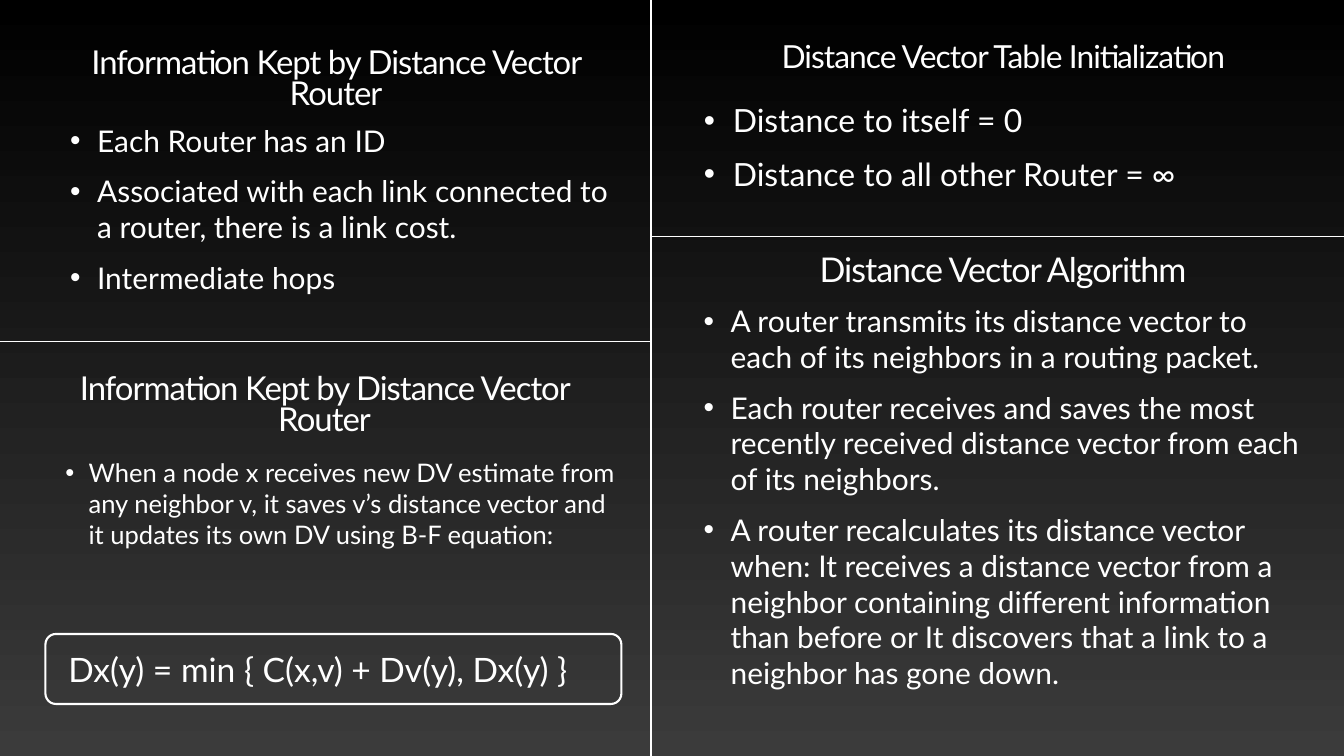
import lxml.etree
import pptx
import pptx.dml.color
import pptx.enum.shapes
import pptx.enum.text
import pptx.oxml.ns
import pptx.util

Cm, Pt = pptx.util.Cm, pptx.util.Pt
RGB = pptx.dml.color.RGBColor
PP = pptx.enum.text.PP_ALIGN
MSO = pptx.enum.text.MSO_ANCHOR
qn = pptx.oxml.ns.qn

theme = {
    "font": "Lato",
    "ink": RGB(0xFF, 0xFF, 0xFF),
    "top": RGB(0, 0, 0),
    "base": RGB(0x3B, 0x3B, 0x3B),
    "rule": Pt(2),
    "frame": Pt(3),
    "math": 48,
}

deck = pptx.Presentation()
deck.slide_width, deck.slide_height = Cm(67.74), Cm(38.1)
slide = deck.slides.add_slide(deck.slide_layouts[6])

# Background fades downwards
back = slide.background.fill
back.gradient()
back.gradient_angle = 270
for stop, tone in zip(back.gradient_stops, (theme["top"], theme["base"])):
    stop.color.rgb = tone
back.gradient_stops[0].position = 0
back.gradient_stops[1].position = 1


def add_text(area, lines, size, anchor):
    box = slide.shapes.add_textbox(*[Cm(n) for n in area])
    frame = box.text_frame
    frame.word_wrap = True
    frame.vertical_anchor = anchor
    frame.margin_left = frame.margin_right = Cm(0.15)
    frame.margin_top = frame.margin_bottom = Cm(0.15)
    frame.text = "\n".join(lines)
    for para in frame.paragraphs:
        for run in para.runs:
            run.font.name = theme["font"]
            run.font.size = Pt(size)
            run.font.color.rgb = theme["ink"]
    return frame.paragraphs


# Four panels: title, its area and size, then bullets, their area and size
panels = [
    ("Information Kept by Distance Vector Router",
     (3.53, 1.52, 26.82, 4.29), 47,
     ["Each Router has an ID",
      "Associated with each link connected to a router, there is a link cost.",
      "Intermediate hops"],
     (3.38, 6.02, 27.86, 10.34), 42.7),
    ("Distance Vector Table Initialization",
     (37.8, 0.33, 25.53, 3.56), 45.4,
     ["Distance to itself = 0",
      "Distance to all other Router = ∞"],
     (35.33, 4.93, 28.78, 5.36), 45.6),
    ("Distance Vector Algorithm",
     (38.4, 12.14, 24.31, 2.57), 48.7,
     ["A router transmits its distance vector to each of its neighbors "
      "in a routing packet.",
      "Each router receives and saves the most recently received distance "
      "vector from each of its neighbors.",
      "A router recalculates its distance vector when: It receives a distance "
      "vector from a neighbor containing different information than before "
      "or It discovers that a link to a neighbor has gone down."],
     (35.31, 15.11, 30.51, 23.5), 42.7),
    ("Information Kept by Distance Vector Router",
     (2.95, 17.93, 26.82, 4.29), 47,
     ["When a node x receives new DV estimate from any neighbor v, it saves "
      "v’s distance vector and it updates its own DV using B-F equation:"],
     (3.15, 22.89, 28.14, 7.16), 36.5),
]
for title, head, big, points, body, size in panels:
    para = add_text(head, [title], big, MSO.BOTTOM)[0]
    para.alignment = PP.CENTER
    para.line_spacing = 0.8
    para.runs[0].font._element.set("spc", str(round(big * -3)))

    for spot, para in enumerate(add_text(body, points, size, MSO.TOP)):
        if spot:
            para.space_before = Pt(size // 2)
        props = para._p.get_or_add_pPr()
        dent = Cm(size * 0.032)
        props.set("marL", str(dent))
        props.set("indent", str(-dent))
        tint = lxml.etree.SubElement(props, qn("a:buClr"))
        lxml.etree.SubElement(tint, qn("a:srgbClr"), val=str(theme["ink"]))
        lxml.etree.SubElement(props, qn("a:buFont"), typeface="Arial")
        lxml.etree.SubElement(props, qn("a:buChar"), char="•")

# Rules between the panels
mid, wide, tall = 32.82, 67.74, 38.1
for ends in [(mid, 11.91, wide, 11.91), (mid, 0, mid, tall), (0, 17.22, mid, 17.22)]:
    rule = slide.shapes.add_connector(
        pptx.enum.shapes.MSO_CONNECTOR.STRAIGHT, *[Cm(n) for n in ends])
    rule.line.color.rgb = theme["ink"]
    rule.line.width = theme["rule"]
    lxml.etree.SubElement(rule._element.spPr, qn("a:effectLst"))

# Framed equation
add_text((3.3, 32.44, 26.97, 2.51), ["Dx(y) = min { C(x,v) + Dv(y), Dx(y) }"],
         theme["math"], MSO.MIDDLE)
frame = slide.shapes.add_shape(
    pptx.enum.shapes.MSO_SHAPE.ROUNDED_RECTANGLE,
    Cm(2.29), Cm(31.95), Cm(29.03), Cm(3.53))
frame.adjustments[0] = 0.15
frame.shadow.inherit = False
frame.fill.background()
frame.line.color.rgb = theme["ink"]
frame.line.width = theme["frame"]

deck.save("out.pptx")
